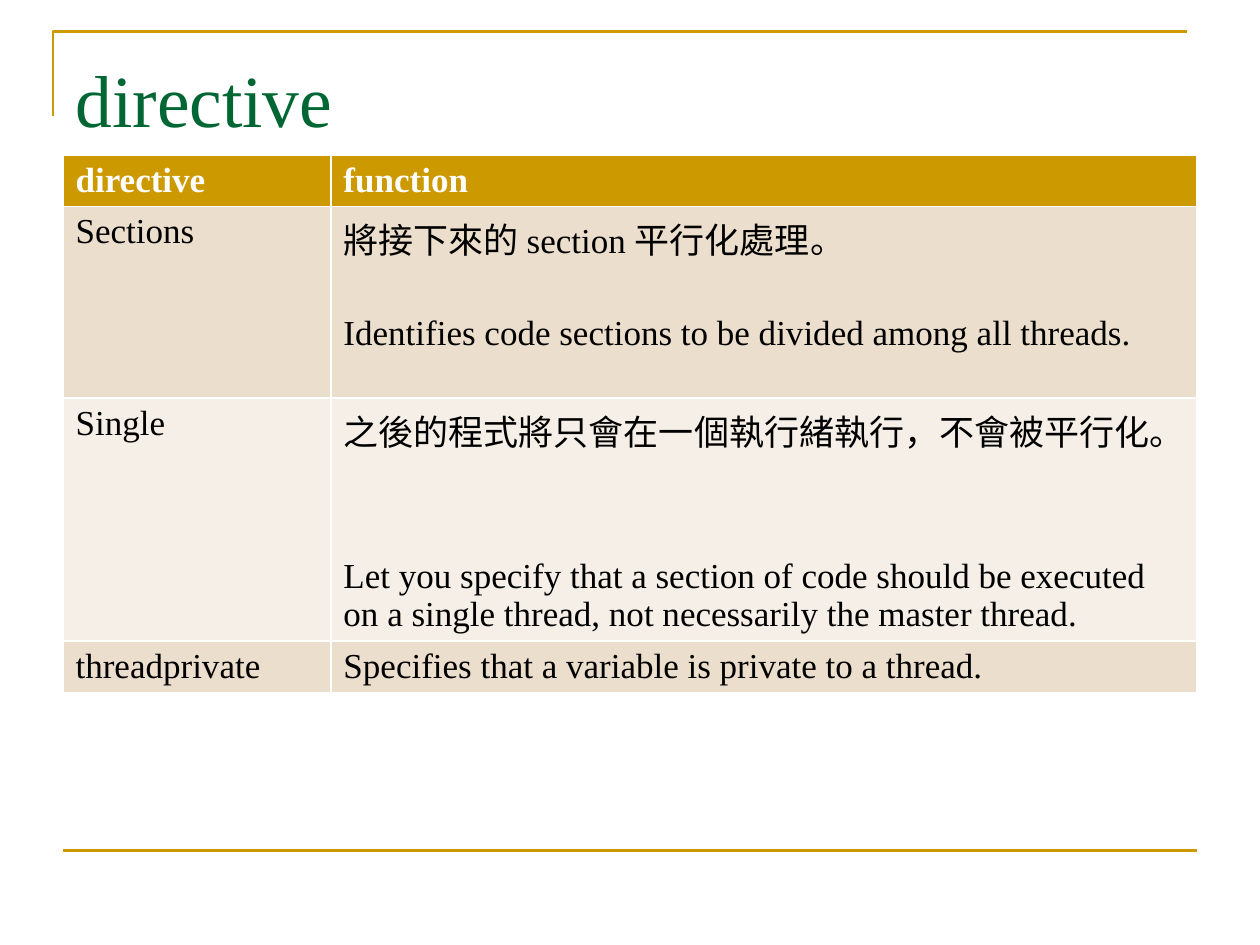
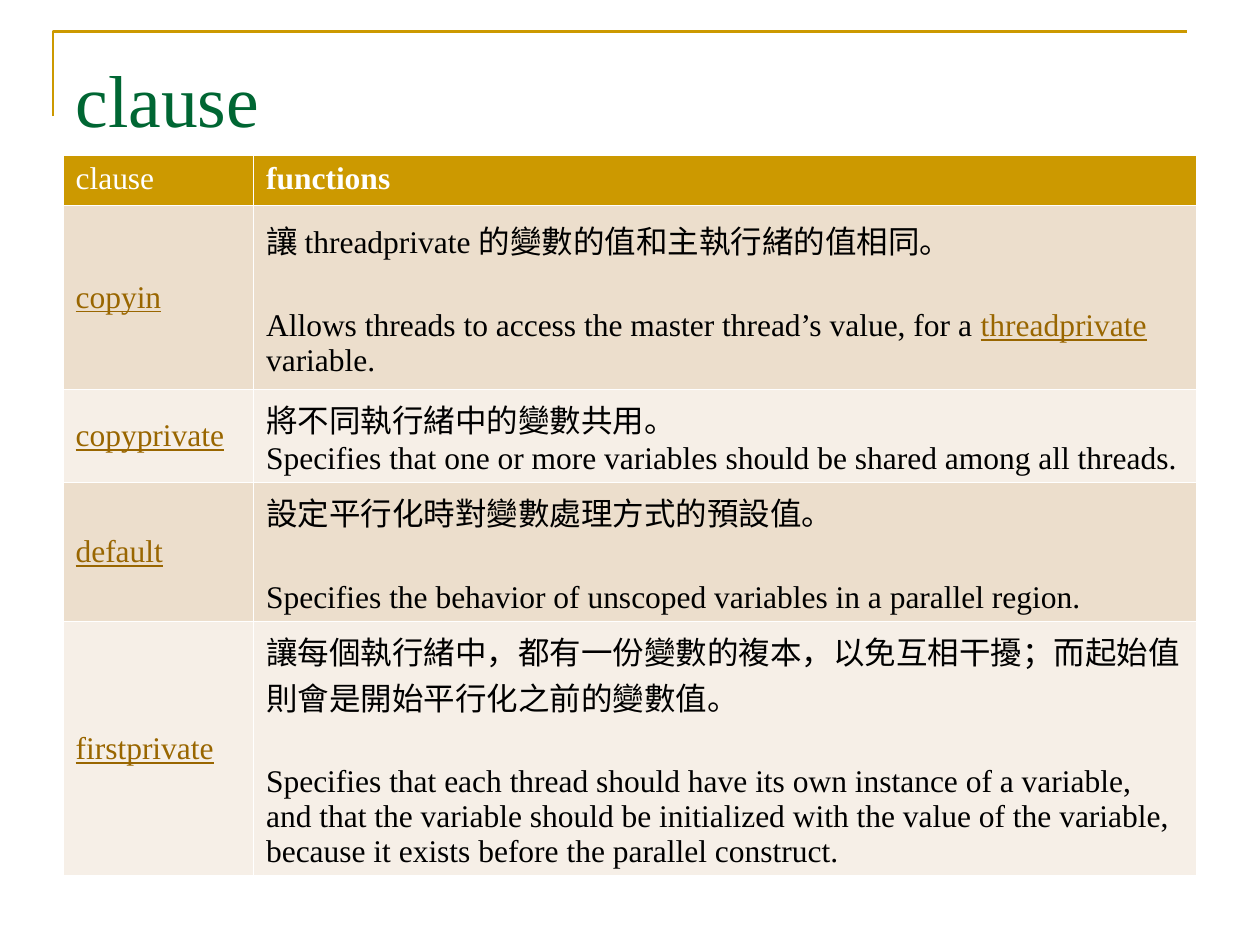
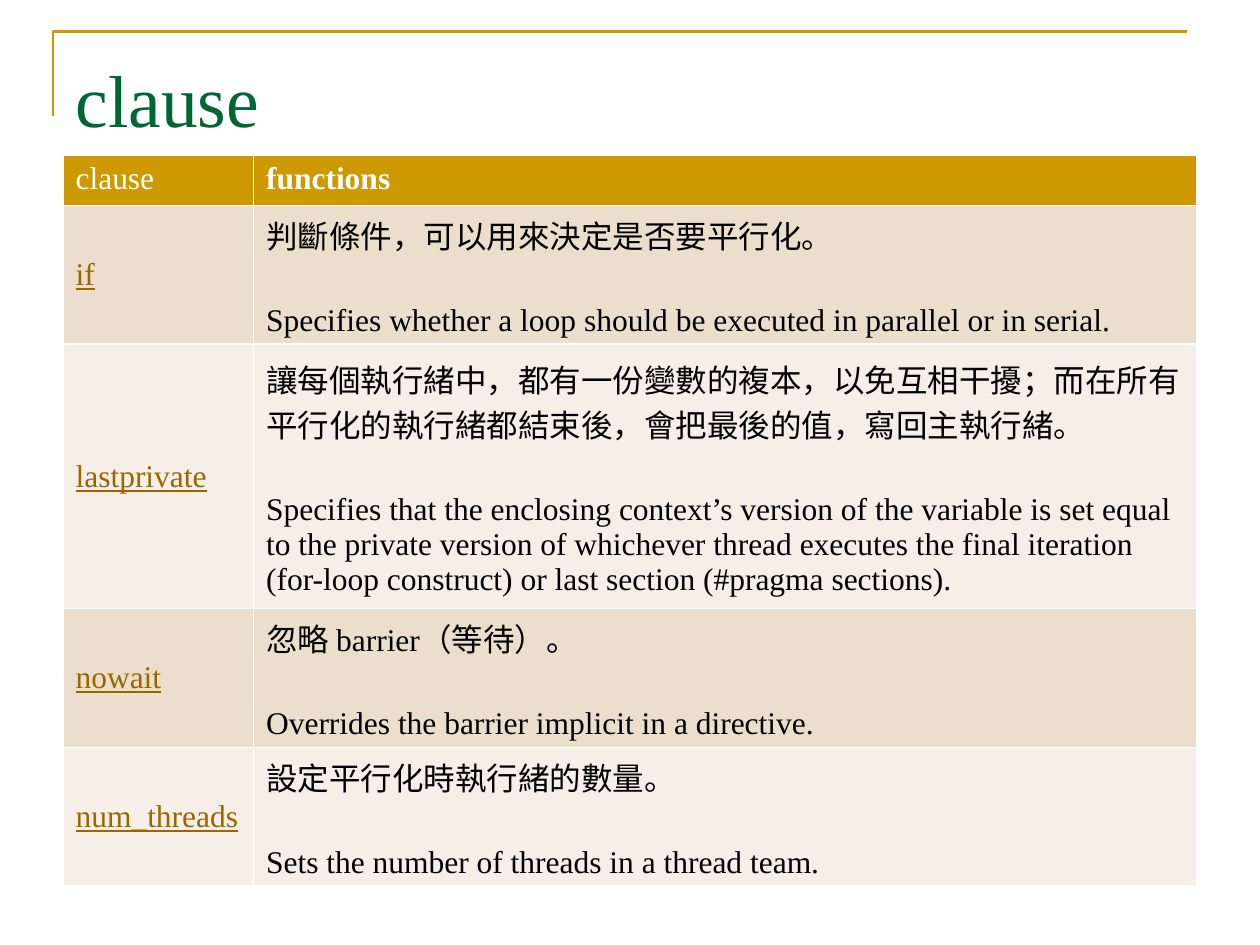
from pptx import Presentation
from pptx.dml.color import RGBColor
from pptx.enum import shapes, text
from pptx.oxml.ns import qn
from pptx.util import Cm, Pt
from lxml import etree

COLORS = {
    "gold": "CC9900",
    "green": "006633",
    "link": "996600",
    "white": "FFFFFF",
    "black": "000000",
    "band_dark": "ECDECC",
    "band_light": "F6EFE7",
}
FONT = "Times New Roman"
LEFT, TABLE_TOP, WIDTH = Cm(1.27), Cm(3.12), Cm(22.86)
TITLE_ONLY = 5
CLAUSE_COLUMNS = (3.84, 19.02)
CLAUSE_HEADER = ("clause", "functions")

# Rows: height in cm, term, paragraphs, blank lines between the paragraphs.
# Text between bars is styled as a link.
DIRECTIVES = [
    (3.87, "Sections",
     ["將接下來的 section 平行化處理。",
      "Identifies code sections to be divided among all threads."], 1),
    (4.88, "Single",
     ["之後的程式將只會在一個執行緒執行，不會被平行化。",
      "Let you specify that a section of code should be executed on a single "
      "thread, not necessarily the master thread."], 2),
    (1.04, "threadprivate",
     ["Specifies that a variable is private to a thread."], 0),
]
DATA_CLAUSES = [
    (3.71, "|copyin|",
     ["讓 threadprivate 的變數的值和主執行緒的值相同。",
      "Allows threads to access the master thread’s value, for "
      "a |threadprivate| variable."], 1),
    (1.88, "|copyprivate|",
     ["將不同執行緒中的變數共用。",
      "Specifies that one or more variables should be shared among all threads."], 0),
    (2.8, "|default|",
     ["設定平行化時對變數處理方式的預設值。",
      "Specifies the behavior of unscoped variables in a parallel region."], 1),
    (5.11, "|firstprivate|",
     ["讓每個執行緒中，都有一份變數的複本，以免互相干擾；而起始值則會是開始平行化之前的變數值。",
      "Specifies that each thread should have its own instance of a variable, "
      "and that the variable should be initialized with the value of the "
      "variable, because it exists before the parallel construct."], 1),
]
CONTROL_CLAUSES = [
    (2.8, "|if|",
     ["判斷條件，可以用來決定是否要平行化。",
      "Specifies whether a loop should be executed in parallel or in serial."], 1),
    (5.33, "|lastprivate|",
     ["讓每個執行緒中，都有一份變數的複本，以免互相干擾；而在所有平行化的執行緒都結束後，會把最後的值，寫回主執行緒。",
      "Specifies that the enclosing context’s version of the variable is set "
      "equal to the private version of whichever thread executes the final "
      "iteration (for-loop construct) or last section (#pragma sections)."], 1),
    (2.8, "|nowait|",
     ["忽略 barrier（等待）。",
      "Overrides the barrier implicit in a directive."], 1),
    (2.77, "|num_threads|",
     ["設定平行化時執行緒的數量。",
      "Sets the number of threads in a thread team."], 1),
]


def color(name):
    return RGBColor.from_string(COLORS[name])


def style_run(span, size, color_name, bold=False, underline=False):
    span.font.name = FONT
    span.font.size = Pt(size)
    span.font.color.rgb = color(color_name)
    span.font.bold = bold
    span.font.underline = underline


def style_line(line):
    line.color.rgb = color("gold")
    line.width = Pt(1.5)


def add_frame(page):
    """Corner line at the top and rule at the bottom."""
    builder = page.shapes.build_freeform(Cm(1.07), Cm(2.34))
    builder.add_line_segments([(Cm(1.07), Cm(0.64)), (Cm(23.93), Cm(0.64))], close=False)
    corner = builder.convert_to_shape()
    corner.shadow.inherit = False
    corner.fill.background()
    style_line(corner.line)

    rule = page.shapes.add_connector(
        shapes.MSO_CONNECTOR.STRAIGHT, LEFT, Cm(17.15), LEFT + WIDTH, Cm(17.15))
    style_line(rule.line)
    etree.SubElement(rule._element.spPr, qn("a:effectLst"))


def set_title(page, words):
    box = page.shapes.title
    box.left, box.top, box.width, box.height = LEFT, Cm(0.76), WIDTH, Cm(3.18)
    frame = box.text_frame
    frame.text = words
    frame.vertical_anchor = text.MSO_ANCHOR.TOP
    frame.margin_top = Cm(0.33)
    para = frame.paragraphs[0]
    para.alignment = text.PP_ALIGN.LEFT
    style_run(para.runs[0], 42, "green")


def add_spans(para, words, size, color_name, bold):
    for index, piece in enumerate(words.split("|")):
        if piece:
            is_link = index % 2 == 1
            span = para.add_run()
            span.text = piece
            style_run(span, size, "link" if is_link else color_name, bold, is_link)


def fill_cell(cell, fill, paragraphs, size, color_name="black", bold=False, blank_lines=0):
    cell.fill.solid()
    cell.fill.fore_color.rgb = color(fill)
    frame = cell.text_frame
    for index, words in enumerate(paragraphs):
        para = frame.add_paragraph() if index else frame.paragraphs[0]
        if index:
            para.space_before = Pt(round(1.45 * size * blank_lines))
        add_spans(para, words, size, color_name, bold)


def add_reference_table(page, columns, header, rows, size, anchor, bold_header):
    heights = [1.02] + [row[0] for row in rows]
    table = page.shapes.add_table(
        len(heights), len(columns), LEFT, TABLE_TOP, WIDTH, Cm(sum(heights))).table
    for column, width in zip(table.columns, columns):
        column.width = Cm(width)
    for row, height in zip(table.rows, heights):
        row.height = Cm(height)

    for index, (words, bold) in enumerate(zip(header, bold_header)):
        fill_cell(table.cell(0, index), "gold", [words], size, "white", bold)
    for index, (_, term, paragraphs, blank_lines) in enumerate(rows, start=1):
        band = "band_dark" if index % 2 else "band_light"
        fill_cell(table.cell(index, 0), band, [term], size)
        fill_cell(table.cell(index, 1), band, paragraphs, size, blank_lines=blank_lines)
        for column in range(len(columns)):
            table.cell(index, column).vertical_anchor = anchor


def add_page(deck, title, **table):
    page = deck.slides.add_slide(deck.slide_layouts[TITLE_ONLY])
    add_frame(page)
    set_title(page, title)
    add_reference_table(page, **table)


def main():
    deck = Presentation()
    deck.slide_width, deck.slide_height = Cm(25.4), Cm(19.05)

    # Directives
    add_page(deck, "directive", columns=(5.4, 17.46), header=("directive", "function"),
             rows=DIRECTIVES, size=20, anchor=text.MSO_ANCHOR.TOP, bold_header=(True, True))

    # Clauses
    for rows in (DATA_CLAUSES, CONTROL_CLAUSES):
        add_page(deck, "clause", columns=CLAUSE_COLUMNS, header=CLAUSE_HEADER,
                 rows=rows, size=18, anchor=text.MSO_ANCHOR.MIDDLE, bold_header=(False, True))

    deck.save("out.pptx")


if __name__ == "__main__":
    main()
